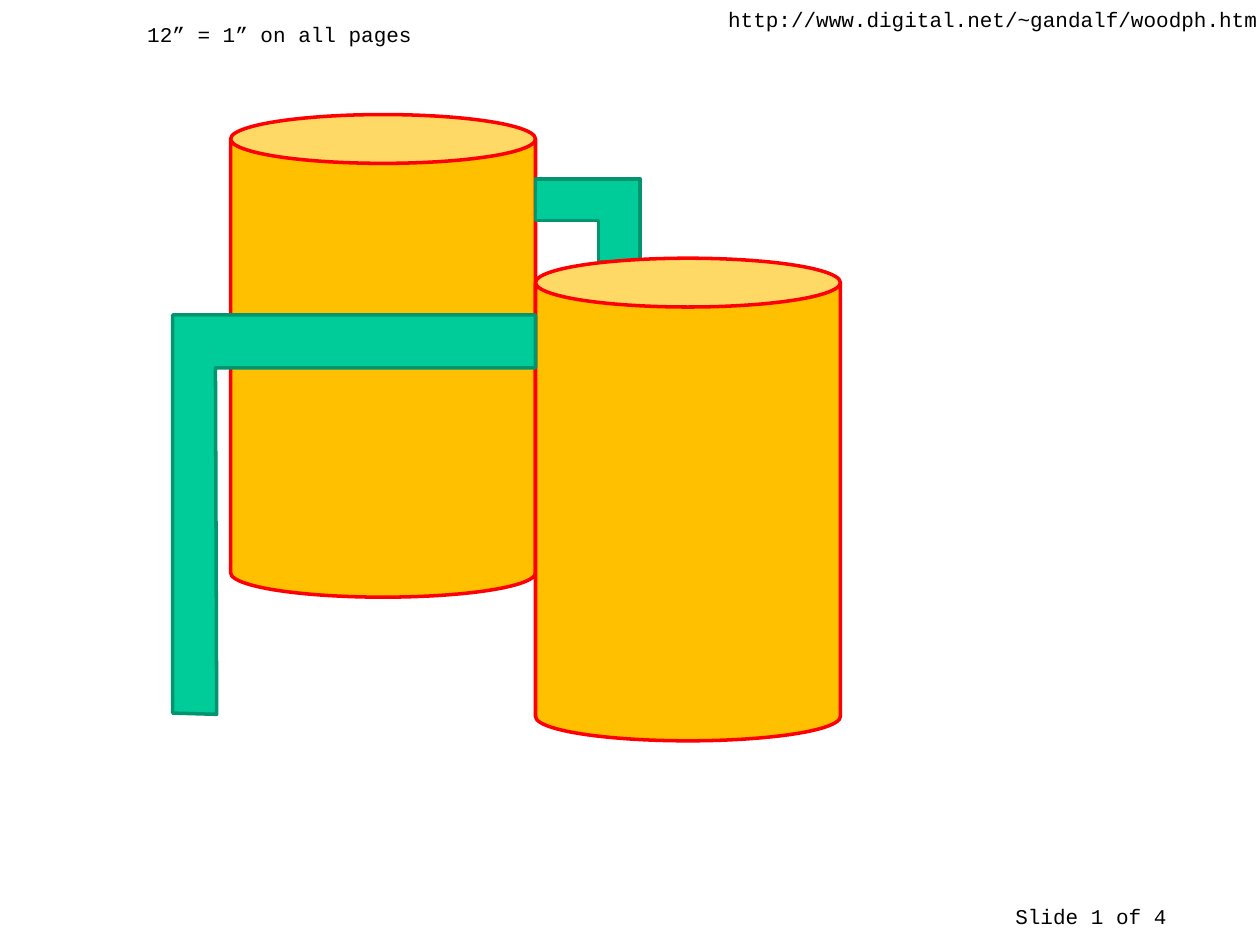
from pptx import Presentation
from pptx.dml.color import RGBColor
from pptx.enum.shapes import MSO_SHAPE as Shape
from pptx.enum.text import MSO_AUTO_SIZE as AutoSize
from pptx.util import Inches, Pt

# Content: lengths in inches
COLORS = {"can": "FFC000", "can_edge": "FF0000",
          "pipe": "00CC99", "pipe_edge": "00956F", "text": "000000"}
LABELS = [
    ("Slide 1 of 4", 7.96, 7.12, 2.1),
    ("http://www.digital.net/~gandalf/woodph.htm", 5.68, 0, 4.41),
    ("12” = 1” on all pages", 1.07, 0.12, 2.3),
]
LABEL_HEIGHT = 0.3
CAN_WIDTH, CAN_HEIGHT, CAN_RIM = 2.42, 3.83, 0.16
BACK_CAN = (1.83, 0.91)
FRONT_CAN = (BACK_CAN[0] + CAN_WIDTH, 2.05)
SEAM = FRONT_CAN[0]  # both pipes start where the cans meet
UPPER_PIPE = [(5.08, 2.08), (4.75, 2.08), (4.75, 1.75),
              (SEAM, 1.75), (SEAM, 1.42), (5.08, 1.42)]
LOWER_PIPE = [(1.37, 5.66), (1.72, 5.67), (1.71, 2.92),
              (SEAM, 2.92), (SEAM, 2.5), (1.37, 2.5)]

deck = Presentation()
deck.slide_width, deck.slide_height = Inches(10), Inches(7.5)
slide = deck.slides.add_slide(deck.slide_layouts[6])
shapes = slide.shapes


def color(name):
    return RGBColor.from_string(COLORS[name])


def paint(part, name):
    part.shadow.inherit = False
    part.fill.solid()
    part.fill.fore_color.rgb = color(name)
    part.line.color.rgb = color(name + "_edge")
    part.line.width = Pt(2)


def add_can(left, top):
    can = shapes.add_shape(Shape.CAN, Inches(left), Inches(top),
                           Inches(CAN_WIDTH), Inches(CAN_HEIGHT))
    can.adjustments[0] = CAN_RIM
    paint(can, "can")


def add_pipe(corners):
    # The builder keeps whole units only, so corners go in as EMU
    start, *others = [(Inches(x), Inches(y)) for x, y in corners]
    outline = shapes.build_freeform(*start)
    outline.add_line_segments(others, close=True)
    paint(outline.convert_to_shape(), "pipe")


def add_label(words, left, top, width):
    label = shapes.add_textbox(Inches(left), Inches(top),
                               Inches(width), Inches(LABEL_HEIGHT))
    frame = label.text_frame
    frame.word_wrap = False
    frame.auto_size = AutoSize.SHAPE_TO_FIT_TEXT
    run = frame.paragraphs[0].add_run()
    run.text = words
    run.font.name = "Courier New"
    run.font.size = Pt(12)
    run.font.color.rgb = color("text")


# Labels
for entry in LABELS:
    add_label(*entry)

# Cans and pipes, from back to front
add_can(*BACK_CAN)
add_pipe(UPPER_PIPE)
add_can(*FRONT_CAN)
add_pipe(LOWER_PIPE)

deck.save("out.pptx")
